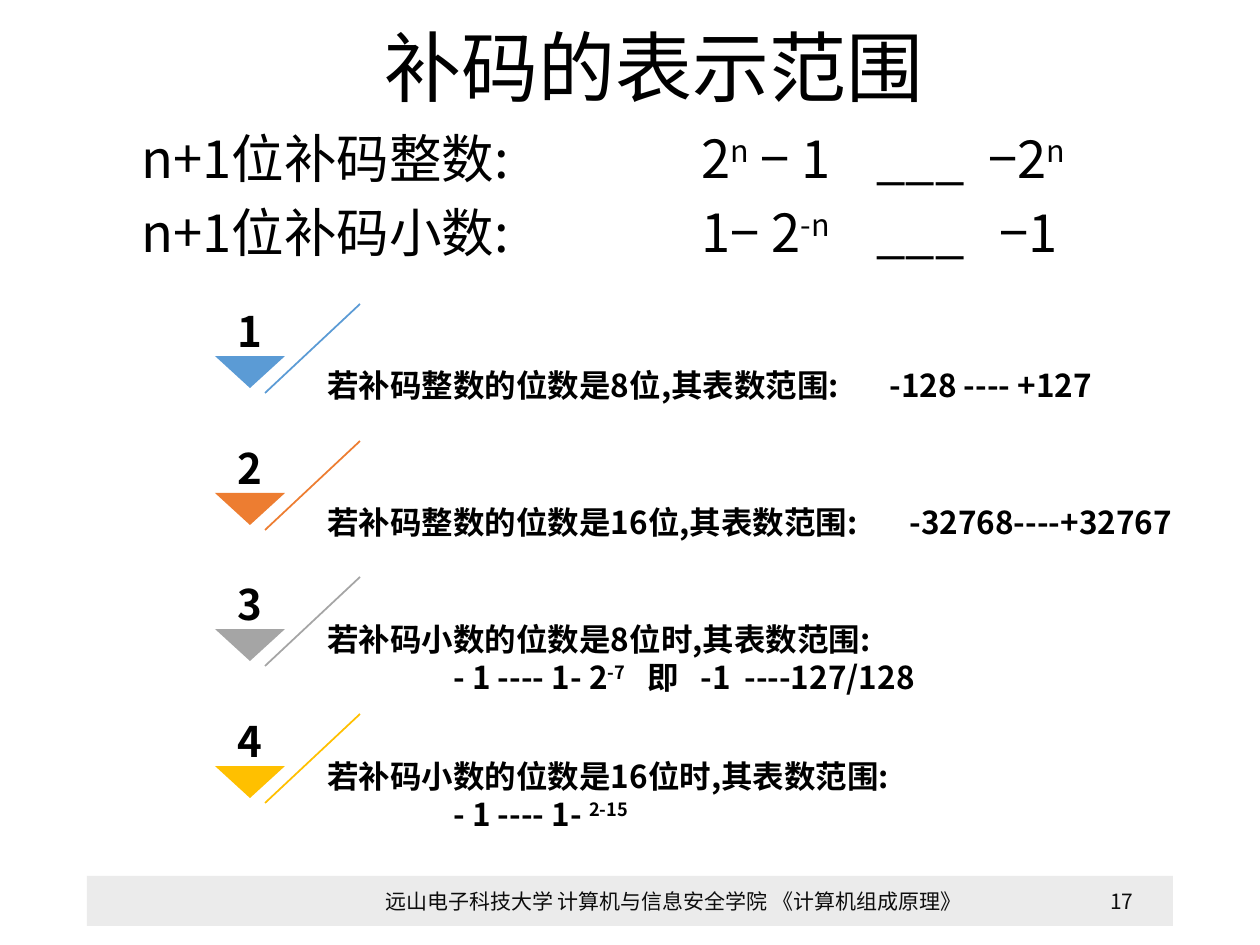
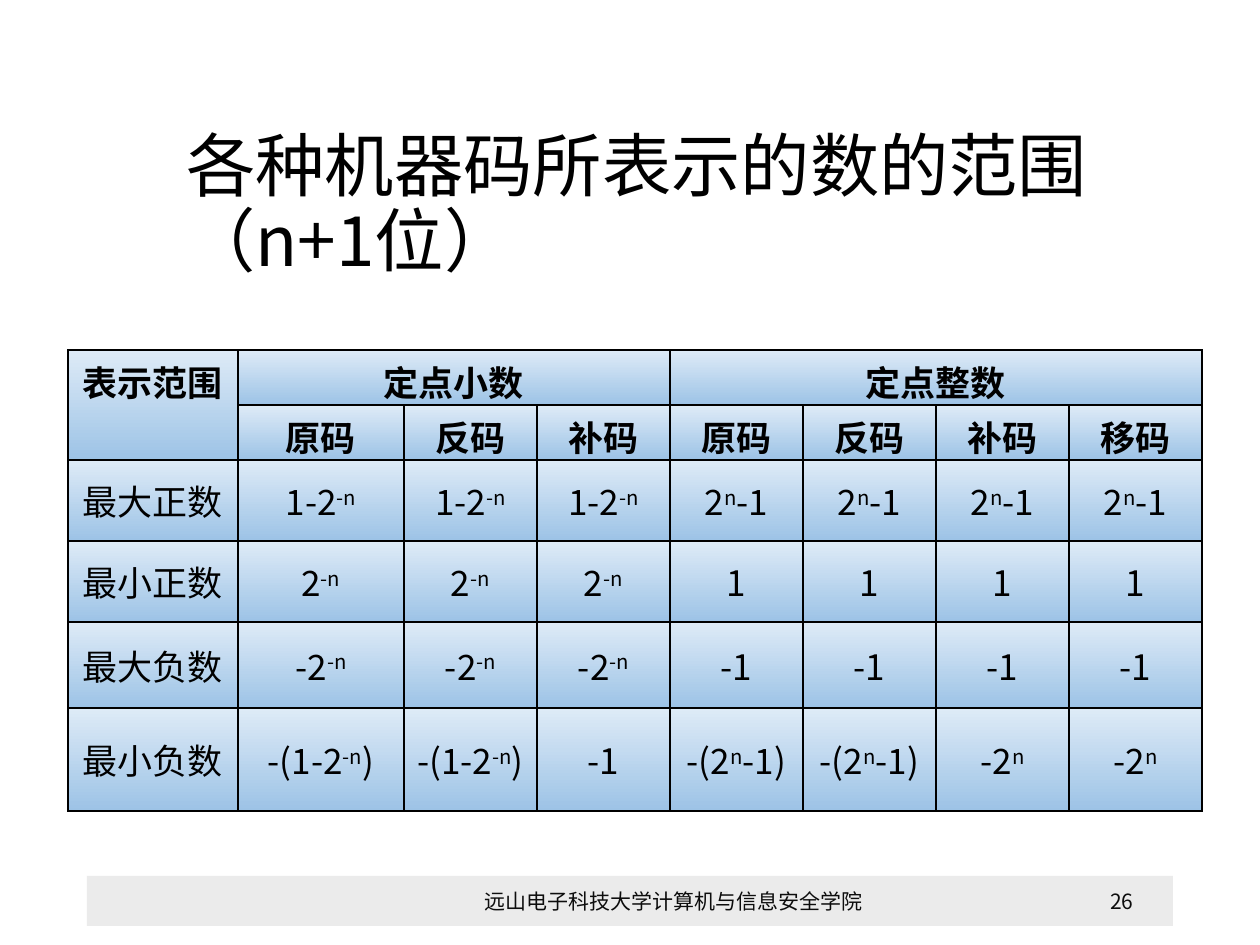
from lxml import etree
from pptx import Presentation
from pptx import util as u
from pptx.dml import color
from pptx.enum import shapes, text
from pptx.oxml import ns

SCALE = 914400 / 126  # EMU per pixel
FONT = "Noto Sans CJK SC"
BLACK = color.RGBColor(0x00, 0x00, 0x00)
FOOTER_TEXT = color.RGBColor(0x0D, 0x0D, 0x0D)
BAND = color.RGBColor(0xEB, 0xEB, 0xEB)
CELL_TOP = color.RGBColor(0xDE, 0xEB, 0xF7)
CELL_BOTTOM = color.RGBColor(0x9D, 0xC3, 0xE6)
BLUE = color.RGBColor(0x5B, 0x9B, 0xD5)
ORANGE = color.RGBColor(0xED, 0x7D, 0x31)
GRAY = color.RGBColor(0xA5, 0xA5, 0xA5)
GOLD = color.RGBColor(0xFF, 0xC0, 0x00)
CENTER = {"alignment": text.PP_ALIGN.CENTER}
TITLE_SPACING = {"line_spacing": 0.9}
MIDDLE = text.MSO_ANCHOR.MIDDLE


def px(*lengths):
    return [u.Emu(round(length * SCALE)) for length in lengths]


def write(frame, lines, size, bold=False, rgb=BLACK, layout={}, tabs=()):
    """Fill a text frame; text between two ^ marks is superscript."""
    for index, line in enumerate(lines):
        paragraph = frame.paragraphs[0] if index == 0 else frame.add_paragraph()
        for name, value in layout.items():
            setattr(paragraph, name, value)
        if tabs:
            properties = paragraph._p.get_or_add_pPr()
            tab_list = etree.SubElement(properties, ns.qn("a:tabLst"))
            for stop in tabs[index]:
                etree.SubElement(tab_list, ns.qn("a:tab"), pos=str(px(stop)[0]), algn="l")
        for part, words in enumerate(line.split("^")):
            if not words:
                continue
            run = paragraph.add_run()
            run.text = words
            for name, value in {"name": FONT, "size": u.Pt(size), "bold": bold}.items():
                setattr(run.font, name, value)
            run.font.color.rgb = rgb
            run_properties = run._r.get_or_add_rPr()
            etree.SubElement(run_properties, ns.qn("a:ea"), typeface=FONT)
            if part % 2:
                run_properties.set("baseline", "30000")


presentation = Presentation()
presentation.slide_width, presentation.slide_height = px(1260, 945)

# Title and footer of each slide
pages = [
    ("补码的表示范围", 44, (372, 23, 1143, 97),
     "远山电子科技大学 计算机与信息安全学院 《计算机组成原理》", "17"),
    ("各种机器码所表示的数的范围（n+1位）", 39.6, (174, 142, 1086, 129),
     "远山电子科技大学计算机与信息安全学院", "26"),
]
for title, title_size, title_box, footer, number in pages:
    slide = presentation.slides.add_slide(presentation.slide_layouts[6])
    band = slide.shapes.add_shape(shapes.MSO_SHAPE.RECTANGLE, *px(87, 876, 1086, 50))
    band.shadow.inherit = False
    band.fill.solid()
    band.fill.fore_color.rgb = BAND
    band.line.fill.background()
    for words, box, size, rgb, layout in [
        (title, title_box, title_size, BLACK, TITLE_SPACING),
        (footer, (363, 876, 621, 50), 12, FOOTER_TEXT, CENTER),
        (number, (1071, 876, 102, 50), 12, FOOTER_TEXT, CENTER),
    ]:
        frame = slide.shapes.add_textbox(*px(*box)).text_frame
        frame.word_wrap = True
        frame.vertical_anchor = MIDDLE
        write(frame, [words], size, rgb=rgb, layout=layout)

range_slide, table_slide = presentation.slides

# Slide 1: general formulas
frame = range_slide.shapes.add_textbox(*px(58, 127, 1143, 716)).text_frame
frame.word_wrap = True
write(frame,
      ["\tn+1位补码整数:\t2^n^ − 1\t___\t−2^n^", "\tn+1位补码小数:\t1− 2^-n^\t___\t−1"],
      30, layout={"line_spacing": 0.9, "space_before": u.Pt(10)},
      tabs=[(71, 631, 806, 918), (71, 631, 806, 929)])

# Slide 1: numbered examples
examples = [
    (BLUE, ["若补码整数的位数是8位,其表数范围:\t-128 ---- +127"], [(562,)]),
    (ORANGE, ["若补码整数的位数是16位,其表数范围:\t-32768----+32767"], [(582,)]),
    (GRAY, ["若补码小数的位数是8位时,其表数范围:",
            "\t- 1 ---- 1- 2^-7^\t即\t-1\t----127/128"], [(), (126, 320, 373, 417)]),
    (GOLD, ["若补码小数的位数是16位时,其表数范围:", "\t- 1 ---- 1- ^2-15^"], [(), (126,)]),
]
for index, (accent, lines, tabs) in enumerate(examples):
    top = 284 + round(index * 410 / 3)
    group = range_slide.shapes.add_group_shape()

    slash = group.shapes.add_connector(
        shapes.MSO_CONNECTOR.STRAIGHT, *px(360, top + 20, 265, top + 109))
    slash.line.color.rgb = accent
    slash.line.width = u.Pt(1)
    etree.SubElement(slash._element.spPr, ns.qn("a:effectLst"))

    outline = group.shapes.build_freeform(215, top + 72, scale=SCALE)
    outline.add_line_segments([(285, top + 72), (250, top + 104)], close=True)
    triangle = outline.convert_to_shape()
    triangle.shadow.inherit = False
    triangle.fill.solid()
    triangle.fill.fore_color.rgb = accent
    triangle.line.fill.background()

    frame = group.shapes.add_textbox(*px(315, top + 60, 888, 81)).text_frame
    frame.word_wrap = True
    frame.vertical_anchor = MIDDLE
    write(frame, lines, 18, bold=True, tabs=tabs)

    frame = group.shapes.add_textbox(*px(213, top, 74, 72)).text_frame
    for name, value in {"word_wrap": True, "vertical_anchor": text.MSO_ANCHOR.BOTTOM,
                        "margin_left": 0, "margin_right": 0,
                        "margin_top": 0, "margin_bottom": 0}.items():
        setattr(frame, name, value)
    write(frame, [str(index + 1)], 24, bold=True, layout=CENTER)

# Slide 2: table of ranges
rows = [
    ["表示范围", "定点小数", "", "", "定点整数", "", "", ""],
    ["", "原码", "反码", "补码", "原码", "反码", "补码", "移码"],
    ["最大正数"] + ["1-2^-n^"] * 3 + ["2^n^-1"] * 4,
    ["最小正数"] + ["2^-n^"] * 3 + ["1"] * 4,
    ["最大负数"] + ["-2^-n^"] * 3 + ["-1"] * 4,
    ["最小负数"] + ["-(1-2^-n^)"] * 2 + ["-1"] + ["-(2^n^-1)"] * 2 + ["-2^n^"] * 2,
]
widths = [170, 166] + [133] * 6
heights = [55, 55, 81, 81, 86, 103]
table = table_slide.shapes.add_table(
    len(rows), len(widths), *px(68, 350, sum(widths), sum(heights))).table
table.first_row = table.horz_banding = False
for column, width in zip(table.columns, px(*widths)):
    column.width = width
for row, height in zip(table.rows, px(*heights)):
    row.height = height

side, edge = px(5, 6)
for row_index, row in enumerate(rows):
    for column_index, words in enumerate(row):
        cell = table.cell(row_index, column_index)
        for name, value in {"margin_left": side, "margin_right": side, "margin_top": edge,
                            "margin_bottom": edge, "vertical_anchor": MIDDLE}.items():
            setattr(cell, name, value)
        properties = cell._tc.get_or_add_tcPr()
        for border in ("a:lnL", "a:lnR", "a:lnT", "a:lnB"):
            line = etree.SubElement(properties, ns.qn(border), w=str(u.Pt(1)))
            solid = etree.SubElement(line, ns.qn("a:solidFill"))
            etree.SubElement(solid, ns.qn("a:srgbClr"), val=str(BLACK))
        cell.fill.gradient()
        cell.fill.gradient_angle = 270
        for stop, rgb in zip(cell.fill.gradient_stops, (CELL_TOP, CELL_BOTTOM)):
            stop.color.rgb = rgb
        write(cell.text_frame, [words], 20, bold=row_index < 2, layout=CENTER)

table.cell(0, 0).vertical_anchor = text.MSO_ANCHOR.TOP
for first, last in [((0, 0), (1, 0)), ((0, 1), (0, 3)), ((0, 4), (0, 7))]:
    table.cell(*first).merge(table.cell(*last))

presentation.save("out.pptx")
